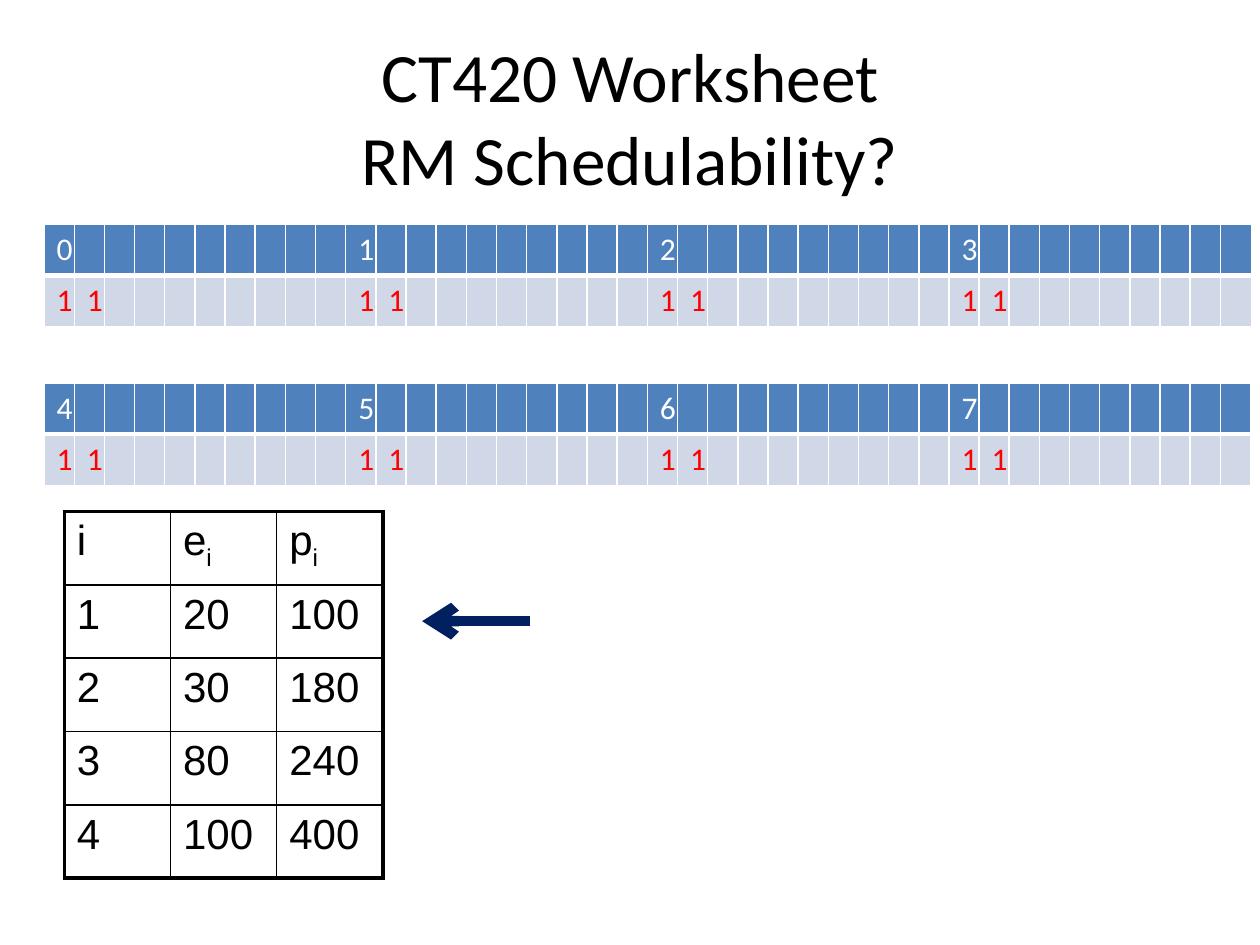
from lxml.etree import SubElement
from pptx import Presentation
from pptx.dml.color import RGBColor
from pptx.enum.shapes import MSO_CONNECTOR as Connector
from pptx.enum.text import MSO_ANCHOR as Anchor, MSO_AUTO_SIZE as AutoSize, PP_ALIGN as Align
from pptx.oxml.ns import qn
from pptx.util import Inches, Pt

COLORS = {
    "text": "000000",
    "white": "FFFFFF",
    "header": "4F81BD",
    "slot": "D0D8E8",
    "job": "FF0000",
    "arrow": "002060",
}
PERIODS = 4
SLOTS = 10
TASKS = [
    ["i", "e_i", "p_i"],
    ["1", "20", "100"],
    ["2", "30", "180"],
    ["3", "80", "240"],
    ["4", "100", "400"],
]


class Worksheet:
    heading_font = "Calibri"
    task_font = "Arial"

    def __init__(self, presentation):
        self.width = presentation.slide_width
        self.height = presentation.slide_height
        self.slide = presentation.slides.add_slide(presentation.slide_layouts[5])

    def x(self, share):
        return int(self.width * share)

    def y(self, share):
        return int(self.height * share)

    def color(self, name):
        return RGBColor.from_string(COLORS[name])

    def format_runs(self, paragraph, font, size, color):
        for run in paragraph.runs:
            run.font.name = font
            run.font.size = Pt(size)
            run.font.bold = False
            run.font.color.rgb = self.color(color)

    def borders(self, cell, color, left, right, top, bottom):
        properties = cell._tc.get_or_add_tcPr()
        sides = {"a:lnL": left, "a:lnR": right, "a:lnT": top, "a:lnB": bottom}
        for position, (tag, points) in enumerate(sides.items()):
            line = SubElement(properties, qn(tag), w=str(Pt(points)))
            properties.insert(position, line)
            fill = SubElement(line, qn("a:solidFill"))
            SubElement(fill, qn("a:srgbClr"), val=COLORS[color])

    def title(self, text, left, top, width, height):
        shape = self.slide.shapes.title
        shape.left, shape.top = self.x(left), self.y(top)
        shape.width, shape.height = self.x(width), self.y(height)
        frame = shape.text_frame
        frame.text = text
        frame.auto_size = AutoSize.NONE
        frame.vertical_anchor = Anchor.MIDDLE
        paragraph = frame.paragraphs[0]
        paragraph.alignment = Align.CENTER
        self.format_runs(paragraph, self.heading_font, 39.6, "text")

    def table(self, rows, columns, left, top, width, height):
        table = self.slide.shapes.add_table(
            rows, columns, self.x(left), self.y(top), self.x(width), self.y(height)
        ).table
        table.horz_banding = False
        table.first_row = False
        return table

    def timeline(self, first_period, left, top, width, height):
        table = self.table(2, PERIODS * SLOTS, left, top, width, height)
        for column in range(PERIODS * SLOTS):
            period, slot = divmod(column, SLOTS)
            header, body = table.cell(0, column), table.cell(1, column)
            header.text = str(first_period + period) if slot == 0 else ""
            body.text = "1" if slot < 2 else ""
            for cell, fill, ink, bottom in (
                (header, "header", "white", 3),
                (body, "slot", "job", 1),
            ):
                cell.fill.solid()
                cell.fill.fore_color.rgb = self.color(fill)
                self.borders(cell, "white", 1, 1, 1, bottom)
                self.format_runs(cell.text_frame.paragraphs[0], self.heading_font, 18, ink)
        return table

    def task_table(self, tasks, left, top, width, height):
        last_row, last_column = len(tasks) - 1, len(tasks[0]) - 1
        table = self.table(len(tasks), len(tasks[0]), left, top, width, height)
        for row, values in enumerate(tasks):
            for column, value in enumerate(values):
                cell = table.cell(row, column)
                cell.fill.background()
                edges = (column == 0, column == last_column, row == 0, row == last_row)
                self.borders(cell, "text", *(2.25 if edge else 1 for edge in edges))
                paragraph = cell.text_frame.paragraphs[0]
                base, _, subscript = value.partition("_")
                paragraph.add_run().text = base
                if subscript:
                    run = paragraph.add_run()
                    run.text = subscript
                    run.font._element.set("baseline", "-25000")
                self.format_runs(paragraph, self.task_font, 24, "text")
                spacing = SubElement(paragraph._p.get_or_add_pPr(), qn("a:spcBef"))
                SubElement(spacing, qn("a:spcPct"), val="20000")

    def arrow(self, start_x, end_x, y):
        connector = self.slide.shapes.add_connector(
            Connector.STRAIGHT, self.x(start_x), self.y(y), self.x(end_x), self.y(y)
        )
        connector.line.color.rgb = self.color("arrow")
        connector.line.width = Pt(6)
        SubElement(connector.line._get_or_add_ln(), qn("a:tailEnd"), type="arrow")
        SubElement(connector._element.spPr, qn("a:effectLst"))


def main():
    presentation = Presentation()
    presentation.slide_width = Inches(10)
    presentation.slide_height = Inches(7.5)
    worksheet = Worksheet(presentation)
    worksheet.title("CT420 Worksheet\vRM Schedulability?", 0.05, 0.3 / 7.5, 0.9, 1.25 / 7.5)
    first_timeline = worksheet.timeline(0, 0.035, 1.78 / 7.5, 0.911, 0.81 / 7.5)
    first_timeline.columns[PERIODS * SLOTS - 1].width = Inches(0.25)
    worksheet.timeline(PERIODS, 0.035, 3.04 / 7.5, 0.911, 0.81 / 7.5)
    worksheet.task_table(TASKS, 0.051, 4.06 / 7.5, 0.253, 2.91 / 7.5)
    worksheet.arrow(0.421, 0.335, 4.93 / 7.5)
    presentation.save("out.pptx")


if __name__ == "__main__":
    main()
